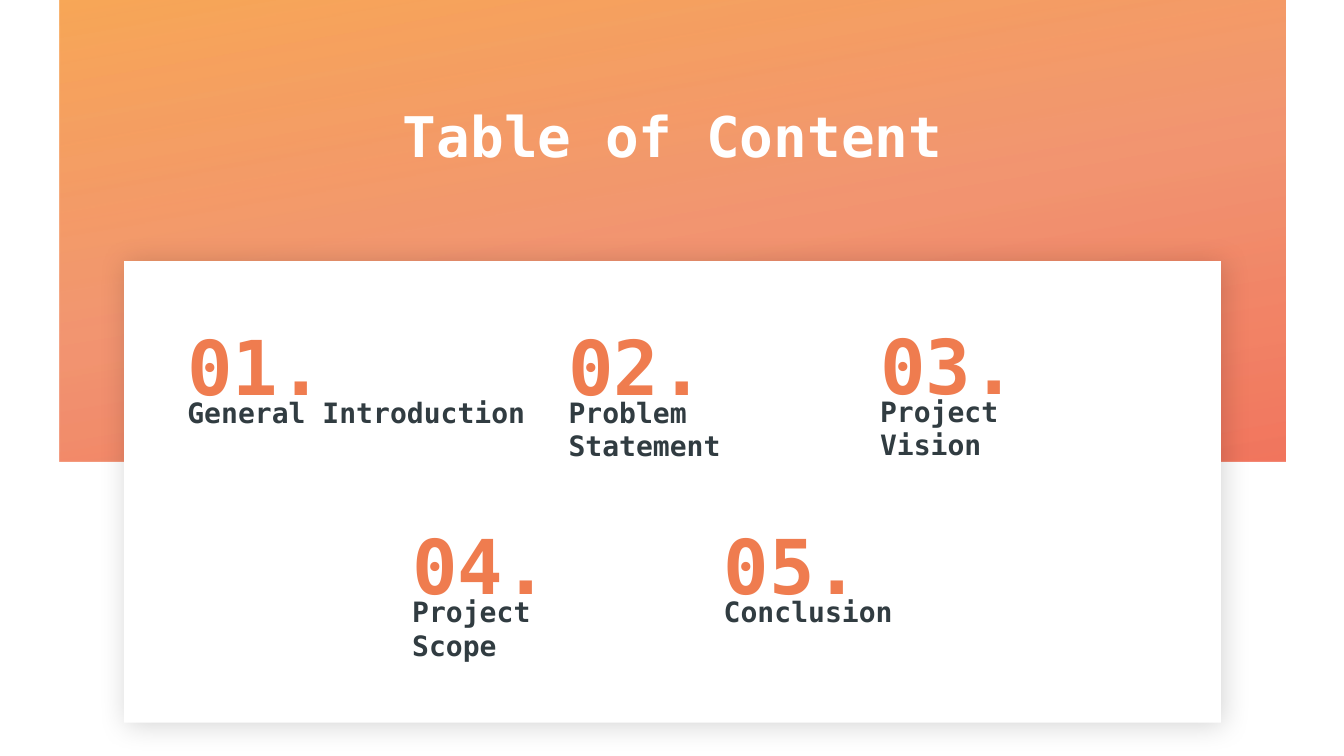
"""Build the table of content slide with five numbered sections."""
from pptx import Presentation
from pptx import oxml
from pptx.dml.color import RGBColor
from pptx.enum import shapes, text
from pptx.oxml import ns
from pptx.util import Inches, Pt

FONT = "DejaVu Sans Mono"
WHITE = RGBColor(0xFF, 0xFF, 0xFF)
DARK = RGBColor(0x31, 0x3C, 0x41)
AMBER = RGBColor(0xF7, 0x9E, 0x45)
ORANGE = RGBColor(0xEF, 0x7C, 0x4F)
CORAL = RGBColor(0xF0, 0x67, 0x4D)


def apply_gradient(fill, properties, opacities):
    fill.gradient()
    stops = "".join(
        f'<a:gs pos="{position * 1000}"><a:srgbClr val="{color}">'
        f'<a:alpha val="{opacity * 1000}"/></a:srgbClr></a:gs>'
        for position, color, opacity in zip((0, 50, 100), (AMBER, ORANGE, CORAL), opacities)
    )
    gradient = oxml.parse_xml(
        f'<a:gradFill {ns.nsdecls("a")} rotWithShape="1"><a:gsLst>{stops}</a:gsLst>'
        '<a:lin ang="4800000" scaled="0"/></a:gradFill>'
    )
    properties.replace(properties.find(ns.qn("a:gradFill")), gradient)


def add_label(left, top, width, height, words, size):
    box = page.shapes.add_textbox(Inches(left), Inches(top), Inches(width), Inches(height))
    box.text_frame.word_wrap = True
    span = box.text_frame.paragraphs[0].add_run()
    span.text = words
    span.font.name = FONT
    span.font.size = Pt(size)
    span.font.bold = True
    return box, span


deck = Presentation()
deck.slide_width = Inches(13.33)
deck.slide_height = Inches(7.5)
page = deck.slides.add_slide(deck.slide_layouts[6])

banner = page.shapes.add_shape(
    shapes.MSO_SHAPE.RECTANGLE, Inches(0.59), Inches(0), Inches(12.16), Inches(4.58))
banner.shadow.inherit = False
banner.line.fill.background()
apply_gradient(banner.fill, banner.element.spPr, (90, 80, 90))

title, title_span = add_label(2.85, 0.94, 7.64, 0.88, "Table of Content", 40)
title.text_frame.vertical_anchor = text.MSO_ANCHOR.MIDDLE
title_para = title.text_frame.paragraphs[0]
title_para.alignment = text.PP_ALIGN.CENTER
title_para.line_spacing = 0.9
title_span.font.color.rgb = WHITE

card = page.shapes.add_shape(
    shapes.MSO_SHAPE.RECTANGLE, Inches(1.23), Inches(2.59), Inches(10.88), Inches(4.58))
card.shadow.inherit = False
card.fill.solid()
card.fill.fore_color.rgb = WHITE
card.line.fill.background()
effects = card.element.spPr.find(ns.qn("a:effectLst"))
effects.append(oxml.parse_xml(
    f'<a:outerShdw {ns.nsdecls("a")} blurRad="{Pt(20)}" dist="{Pt(3)}" dir="2700000" '
    'algn="tl" rotWithShape="0"><a:srgbClr val="000000"><a:alpha val="16000"/>'
    '</a:srgbClr></a:outerShdw>'
))

sections = [
    ("General Introduction", 1.76, 3.12, 3.58),
    ("Problem Statement", 5.54, 3.12, 2.61),
    ("Project Vision", 8.63, 3.11, 2.26),
    ("Project Scope", 3.99, 5.1, 2.26),
    ("Conclusion", 7.08, 5.1, 2.26),
]
for index, (name, left, top, width) in enumerate(sections, start=1):
    number, number_span = add_label(left, top, 1.63, 1.01, f"{index:02}.", 54)
    apply_gradient(
        number_span.font.fill, number_span.font._element, (100, 100, 100))
    heading, heading_span = add_label(left, top + 0.75, width, 0.44, name, 20)
    heading_span.font.color.rgb = DARK

deck.save("out.pptx")
